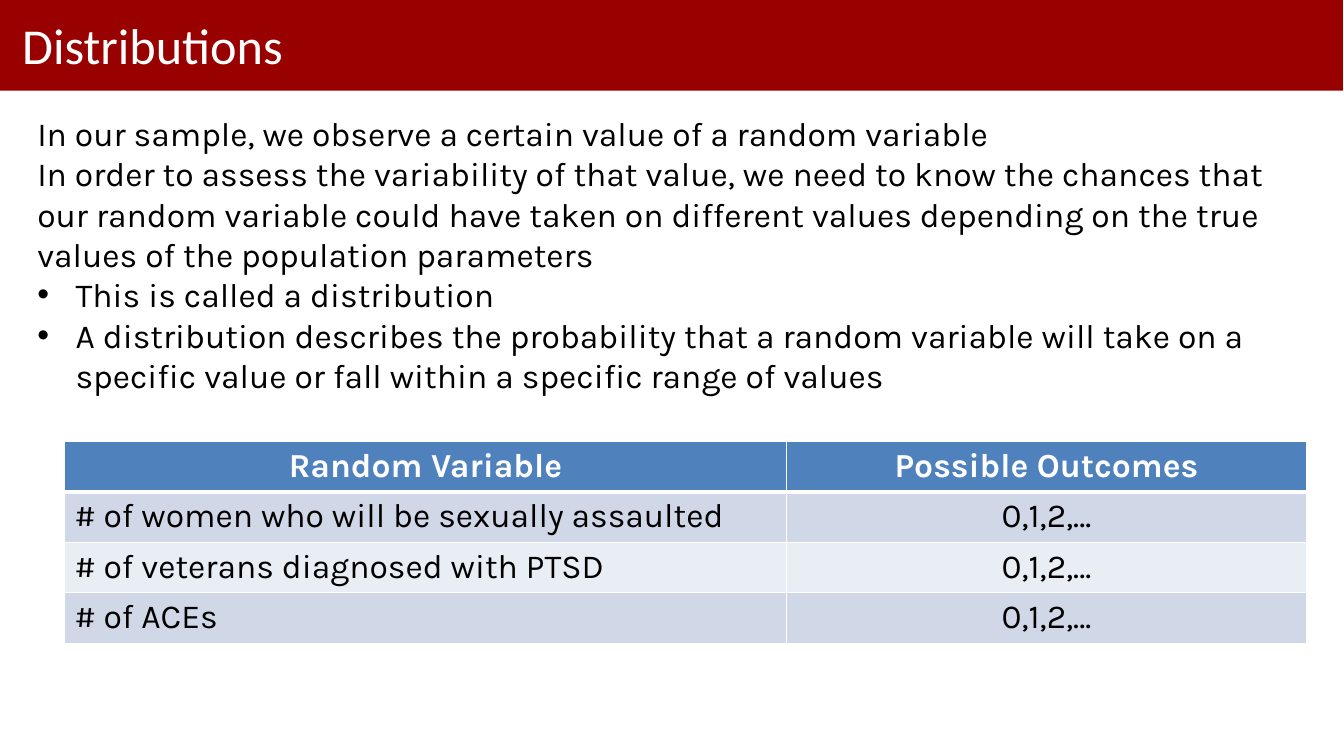
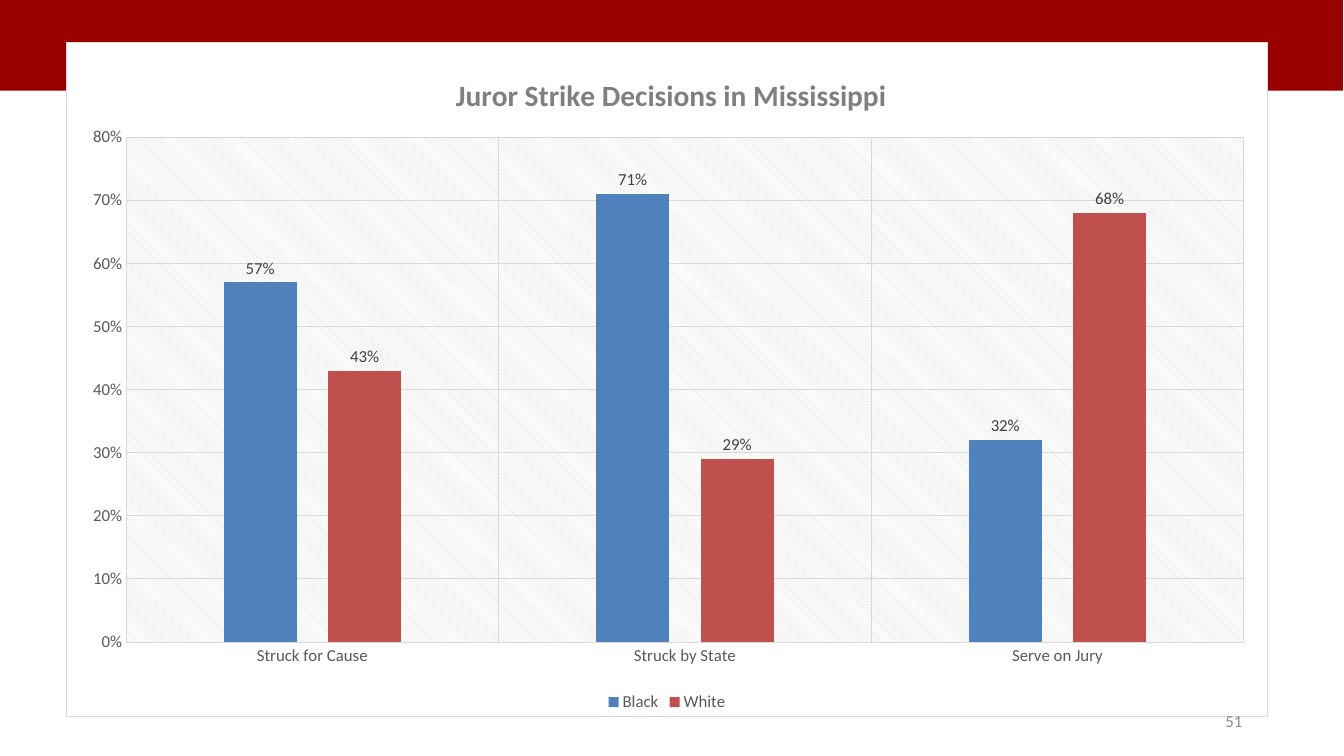
from lxml import etree
from pptx import Presentation
from pptx.chart.data import CategoryChartData
from pptx.dml.color import RGBColor
from pptx.enum.chart import XL_CHART_TYPE as ChartType
from pptx.enum.chart import XL_LABEL_POSITION as LabelPosition
from pptx.enum.chart import XL_LEGEND_POSITION as LegendPosition
from pptx.enum.chart import XL_TICK_MARK as TickMark
from pptx.enum.shapes import MSO_SHAPE as Shape
from pptx.enum.text import MSO_ANCHOR as Anchor
from pptx.enum.text import PP_ALIGN as Align
from pptx.oxml import parse_xml
from pptx.oxml.ns import nsdecls, qn
from pptx.util import Inches, Pt

COLORS = {
    "band": "990000", "white": "FFFFFF", "black": "000000",
    "header": "4F81BD", "row_dark": "D0D8E8", "row_light": "E9EDF4",
    "blue": "4F81BD", "red": "C0504D", "grid": "D9D9D9",
    "axis": "595959", "label": "404040", "chart_title": "7F7F7F",
    "number": "8C8C8C",
}
HEADING_FONT, BODY_FONT = "Calibri", "Karla"


def rgb(name):
    return RGBColor.from_string(COLORS[name])


def set_font(font, name, size, color, bold=False):
    font.name, font.size, font.bold = name, Pt(size), bold
    font.color.rgb = rgb(color)


def add_text(slide, box, text, name, size, color, margin=0):
    """Add a wrapped text box and return its frame."""
    frame = slide.shapes.add_textbox(*map(Inches, box)).text_frame
    frame.word_wrap = True
    frame.margin_left = frame.margin_right = Inches(margin)
    frame.margin_top = frame.margin_bottom = Inches(margin / 2)
    frame.text = text
    set_font(frame.paragraphs[0].font, name, size, color)
    return frame


def new_slide(presentation, title=None):
    """Blank slide with the red band and an optional title."""
    slide = presentation.slides.add_slide(presentation.slide_layouts[6])
    band = slide.shapes.add_shape(Shape.RECTANGLE, 0, 0, Inches(13.32), Inches(0.9))
    band.shadow.inherit = False
    band.fill.solid()
    band.fill.fore_color.rgb = rgb("band")
    band.line.fill.background()
    if title:
        add_text(slide, (0.22, 0.14, 8.07, 0.6), title, HEADING_FONT, 35.9, "white")
    return slide


def add_body(slide, box, statements, bullets):
    frame = add_text(slide, box, statements[0], BODY_FONT, 24, "black")
    for text in statements[1:] + bullets:
        paragraph = frame.add_paragraph()
        paragraph.text = text
        if text in bullets:
            properties = paragraph._p.get_or_add_pPr()
            properties.set("marL", str(Inches(0.38)))
            properties.set("indent", str(-Inches(0.38)))
            etree.SubElement(properties, qn("a:buFont"), typeface="Arial")
            etree.SubElement(properties, qn("a:buChar"), char="•")
        set_font(paragraph.font, BODY_FONT, 24, "black")


def set_borders(cell, bottom_width):
    properties = cell._tc.get_or_add_tcPr()
    widths = {"lnL": 1, "lnR": 1, "lnT": 1, "lnB": bottom_width}
    for index, (side, width) in enumerate(widths.items()):
        properties.insert(index, parse_xml(
            f'<a:{side} {nsdecls("a")} w="{Pt(width)}"><a:solidFill>'
            f'<a:srgbClr val="{COLORS["white"]}"/></a:solidFill></a:{side}>'))


def add_outcome_table(slide, left, top, column_widths, row_height, rows):
    table = slide.shapes.add_table(
        len(rows), len(column_widths), Inches(left), Inches(top),
        Inches(sum(column_widths)), Inches(row_height * len(rows))).table
    for column, width in zip(table.columns, column_widths):
        column.width = Inches(width)
    for row_index, values in enumerate(rows):
        is_header = row_index == 0
        fill = "header" if is_header else ("row_light", "row_dark")[row_index % 2]
        for column_index, value in enumerate(values):
            cell = table.cell(row_index, column_index)
            cell.text = value
            cell.fill.solid()
            cell.fill.fore_color.rgb = rgb(fill)
            set_borders(cell, 3 if is_header else 1)
            paragraph = cell.text_frame.paragraphs[0]
            centred = is_header or column_index == 1
            paragraph.alignment = Align.CENTER if centred else Align.LEFT
            set_font(paragraph.font, BODY_FONT, 24,
                     "white" if is_header else "black", is_header)


def chart_layout(inner=False, **fractions):
    """Manual chart layout, in fractions of the chart box."""
    target = '<c:layoutTarget val="inner"/>' if inner else ""
    modes = "".join(f'<c:{key}Mode val="edge"/>' for key in "xy")
    values = "".join(f'<c:{key} val="{value}"/>' for key, value in fractions.items())
    return parse_xml(f'<c:layout {nsdecls("c")}><c:manualLayout>{target}{modes}'
                     f'{values}</c:manualLayout></c:layout>')


def chart_surface(fill):
    """Shape properties with a fill and a thin grey outline."""
    return parse_xml(
        f'<c:spPr {nsdecls("c", "a")}>{fill}<a:ln w="{Pt(0.75)}"><a:solidFill>'
        f'<a:srgbClr val="{COLORS["grid"]}"/></a:solidFill></a:ln></c:spPr>')


def style_surfaces(chart):
    white = f'<a:srgbClr val="{COLORS["white"]}"/>'
    space = chart._chartSpace
    space.find(qn("c:chart")).addnext(
        chart_surface(f"<a:solidFill>{white}</a:solidFill>"))
    plot_area = space.find(".//" + qn("c:plotArea"))
    for layout in plot_area.findall(qn("c:layout")):
        plot_area.remove(layout)
    plot_area.insert(0, chart_layout(inner=True, x=0.05, y=0.14, w=0.93, h=0.75))
    plot_area.append(chart_surface(
        f'<a:pattFill prst="ltDnDiag"><a:fgClr><a:srgbClr val="{COLORS["grid"]}"/>'
        f"</a:fgClr><a:bgClr>{white}</a:bgClr></a:pattFill>"))


def style_axes(chart):
    for axis in (chart.category_axis, chart.value_axis):
        axis.major_tick_mark = axis.minor_tick_mark = TickMark.NONE
        axis.has_major_gridlines = True
        for line in (axis.major_gridlines.format.line, axis.format.line):
            line.color.rgb = rgb("grid")
            line.width = Pt(0.75)
        set_font(axis.tick_labels.font, HEADING_FONT, 12, "axis")
    values = chart.value_axis
    values.format.line.fill.background()
    values.minimum_scale, values.maximum_scale, values.major_unit = 0, 0.8, 0.1
    values.tick_labels.number_format = "0%"
    values.tick_labels.number_format_is_linked = False


def add_strike_chart(slide, box, title, categories, series_values):
    data = CategoryChartData(number_format="0%")
    data.categories = categories
    for name, (values, _) in series_values.items():
        data.add_series(name, values)
    chart = slide.shapes.add_chart(
        ChartType.COLUMN_CLUSTERED, *map(Inches, box), data).chart
    set_font(chart.font, HEADING_FONT, 10, "black")

    # Title and legend
    chart.has_title = True
    title_frame = chart.chart_title.text_frame
    title_frame.text = title
    set_font(title_frame.paragraphs[0].font, HEADING_FONT, 21, "chart_title", True)
    title_element = chart.chart_title._element
    for layout in title_element.findall(qn("c:layout")):
        title_element.remove(layout)
    title_element.find(qn("c:tx")).addnext(chart_layout(x=0.32, y=0.04))
    chart.chart_title.include_in_layout = False
    chart.has_legend = True
    chart.legend.position = LegendPosition.BOTTOM
    chart.legend.include_in_layout = False
    set_font(chart.legend.font, HEADING_FONT, 12, "axis")

    # Columns and their labels
    plot = chart.plots[0]
    plot.gap_width, plot.overlap, plot.vary_by_categories = 267, -43, False
    for series, (_, color) in zip(plot.series, series_values.values()):
        series.format.fill.solid()
        series.format.fill.fore_color.rgb = rgb(color)
        labels = series.data_labels
        labels.show_value = True
        labels.number_format, labels.number_format_is_linked = "0%", False
        labels.position = LabelPosition.OUTSIDE_END
        set_font(labels.font, HEADING_FONT, 12, "label")

    style_axes(chart)
    style_surfaces(chart)


def add_slide_number(slide, box, number):
    frame = add_text(slide, box, number, HEADING_FONT, 12, "number", margin=0.1)
    frame.vertical_anchor = Anchor.MIDDLE
    frame.paragraphs[0].alignment = Align.RIGHT


def build_distributions(presentation):
    slide = new_slide(presentation, "Distributions")
    add_body(
        slide, (0.37, 1.12, 12.44, 2.83),
        ["In our sample, we observe a certain value of a random variable",
         "In order to assess the variability of that value, we need to know the "
         "chances that our random variable could have taken on different values "
         "depending on the true values of the population parameters"],
        ["This is called a distribution",
         "A distribution describes the probability that a random variable will "
         "take on a specific value or fall within a specific range of values"])
    add_outcome_table(
        slide, 0.64, 4.38, (7.16, 5.16), 0.41,
        [("Random Variable", "Possible Outcomes"),
         ("# of women who will be sexually assaulted", "0,1,2,…"),
         ("# of veterans diagnosed with PTSD", "0,1,2,…"),
         ("# of ACEs", "0,1,2,…")])


def build_juror_strikes(presentation):
    slide = new_slide(presentation)
    add_strike_chart(
        slide, (0.65, 0.42, 11.93, 6.69), "Juror Strike Decisions in Mississippi",
        ("Struck for Cause", "Struck by State", "Serve on Jury"),
        {"Black": ((0.57, 0.71, 0.32), "blue"),
         "White": ((0.43, 0.29, 0.68), "red")})
    add_slide_number(slide, (9.42, 6.95, 3, 0.4), "51")


def main():
    presentation = Presentation()
    presentation.slide_width, presentation.slide_height = Inches(13.33), Inches(7.5)
    build_distributions(presentation)
    build_juror_strikes(presentation)
    presentation.save("out.pptx")


if __name__ == "__main__":
    main()
